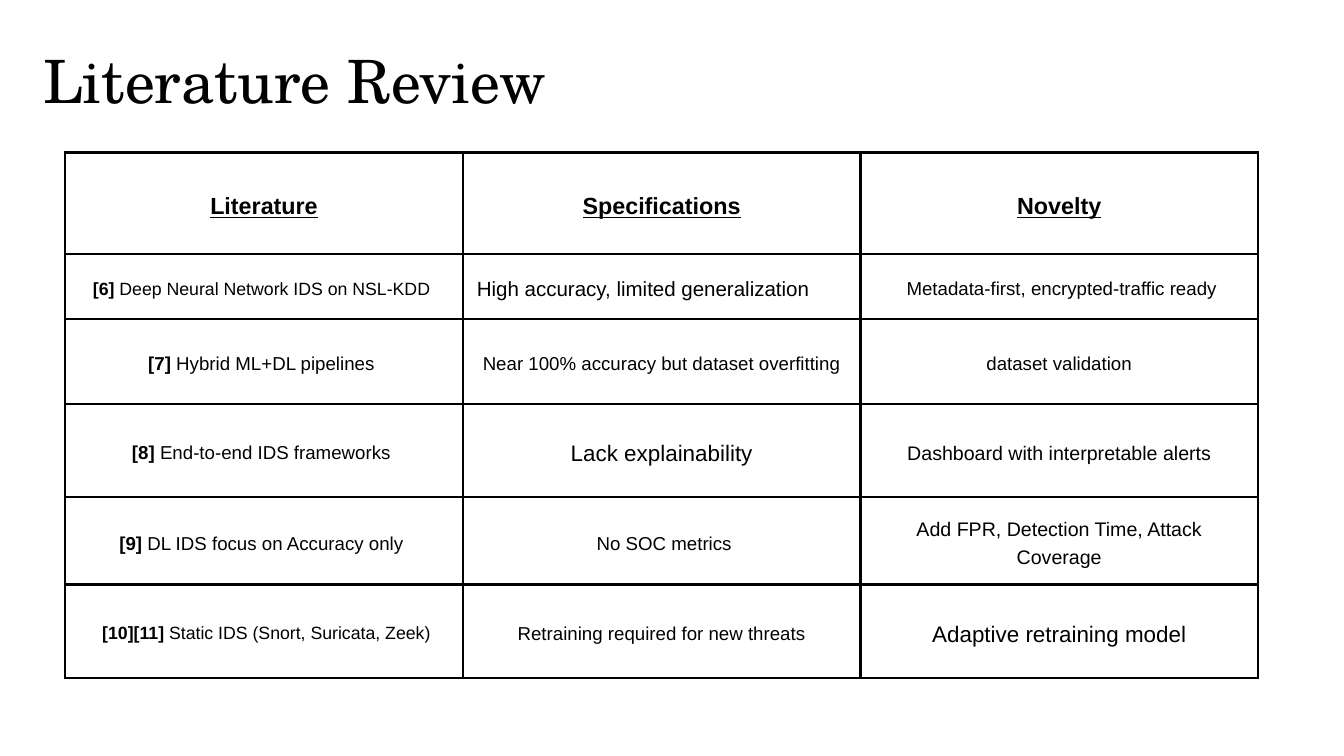
from dataclasses import dataclass

from lxml import etree
from pptx import Presentation
from pptx import util as u
from pptx.dml.color import RGBColor
from pptx.enum import text
from pptx.oxml.ns import qn


@dataclass(frozen=True)
class Theme:
    ink: str = "000000"
    paper: str = "FFFFFF"
    serif: str = "TeX Gyre Schola"
    sans: str = "Arial"
    title: int = 64
    head: int = 25
    tiny: int = 19
    small: int = 20
    mid: int = 21
    body: int = 22
    large: int = 24
    lead: float = 1.4
    rule: int = 3


T = Theme()
CENTER = text.PP_ALIGN.CENTER
JUST = text.PP_ALIGN.JUSTIFY

HEADS = ["Literature", "Specifications", "Novelty"]
ROWS = [
    [("[6]", " Deep Neural Network IDS on NSL-KDD ", T.tiny),
     ("", "High accuracy, limited generalization", T.body, JUST),
     ("", " Metadata-first, encrypted-traffic ready", T.small)],
    [("[7] ", "Hybrid ML+DL pipelines ", T.small),
     ("", "Near 100% accuracy but dataset overfitting", T.small),
     ("", "dataset validation", T.small)],
    [("[8] ", "End-to-end IDS frameworks ", T.small),
     ("", "Lack explainability", T.large),
     ("", "Dashboard with interpretable alerts", T.mid)],
    [("[9] ", "DL IDS focus on Accuracy only ", T.small),
     ("", " No SOC metrics", T.small),
     ("", "Add FPR, Detection Time, Attack Coverage", T.mid)],
    [(" [10][11]", " Static IDS (Snort, Suricata, Zeek)", T.tiny),
     ("", "Retraining required for new threats", T.small),
     ("", "Adaptive retraining model", T.large)],
]
HEIGHTS = [1.51, 0.97, 1.26, 1.39, 1.3, 1.39]


def assign(item, vals):
    for key, val in vals.items():
        setattr(item, key, val)


def inset(gap):
    sides = ("left", "top", "right", "bottom")
    return {f"margin_{side}": u.Inches(gap) for side in sides}


def add_run(para, words, size, face, **style):
    run = para.add_run()
    run.text = words
    assign(run.font, {"size": u.Pt(size), "name": face, **style})
    run.font.color.rgb = RGBColor.from_string(T.ink)


def add_rules(cell):
    props = cell._tc.get_or_add_tcPr()
    for side in ("lnL", "lnR", "lnT", "lnB"):
        line = etree.SubElement(props, qn(f"a:{side}"), w=str(u.Pt(T.rule)))
        fill = etree.SubElement(line, qn("a:solidFill"))
        etree.SubElement(fill, qn("a:srgbClr"), val=T.ink)


def fill_cell(cell, ref, words, size, align=CENTER, **style):
    add_rules(cell)
    cell.fill.background()
    assign(cell, {"vertical_anchor": text.MSO_ANCHOR.MIDDLE, **inset(0.21)})
    para = cell.text_frame.paragraphs[0]
    assign(para, {"alignment": align, "line_spacing": u.Pt(size * T.lead)})
    if ref:
        add_run(para, ref, size, T.sans, bold=True)
    add_run(para, words, size, T.sans, **{"bold": False, **style})


def place_title(slide, box, words):
    title = slide.shapes.title
    names = ("left", "top", "width", "height")
    assign(title, dict(zip(names, map(u.Inches, box))))
    frame = title.text_frame
    assign(frame, {"word_wrap": True, "auto_size": text.MSO_AUTO_SIZE.NONE,
                   "vertical_anchor": text.MSO_ANCHOR.TOP, **inset(0)})
    para = frame.paragraphs[0]
    assign(para, {"alignment": text.PP_ALIGN.LEFT,
                  "line_spacing": u.Pt(T.title * T.lead)})
    add_run(para, words, T.title, T.serif)


def place_table(slide, box):
    frame = slide.shapes.add_table(len(HEIGHTS), len(HEADS),
                                   *map(u.Inches, box))
    table = frame.table
    assign(table, {"first_row": False, "horz_banding": False})
    for col in table.columns:
        col.width = u.Inches(box[2] / len(HEADS))
    for row, high in zip(table.rows, HEIGHTS):
        row.height = u.Inches(high)
    for col, words in enumerate(HEADS):
        fill_cell(table.cell(0, col), "", words, T.head,
                  bold=True, underline=True)
    for row, items in enumerate(ROWS, 1):
        for col, item in enumerate(items):
            fill_cell(table.cell(row, col), *item)


def main():
    deck = Presentation()
    assign(deck, {"slide_width": u.Inches(20),
                  "slide_height": u.Inches(11.25)})
    slide = deck.slides.add_slide(deck.slide_layouts[5])
    back = slide.background.fill
    back.solid()
    back.fore_color.rgb = RGBColor.from_string(T.paper)
    place_title(slide, (0.64, 0.47, 21.53, 3.49), "Literature Review")
    place_table(slide, (0.97, 2.27, 17.75, sum(HEIGHTS)))
    deck.save("out.pptx")


if __name__ == "__main__":
    main()
